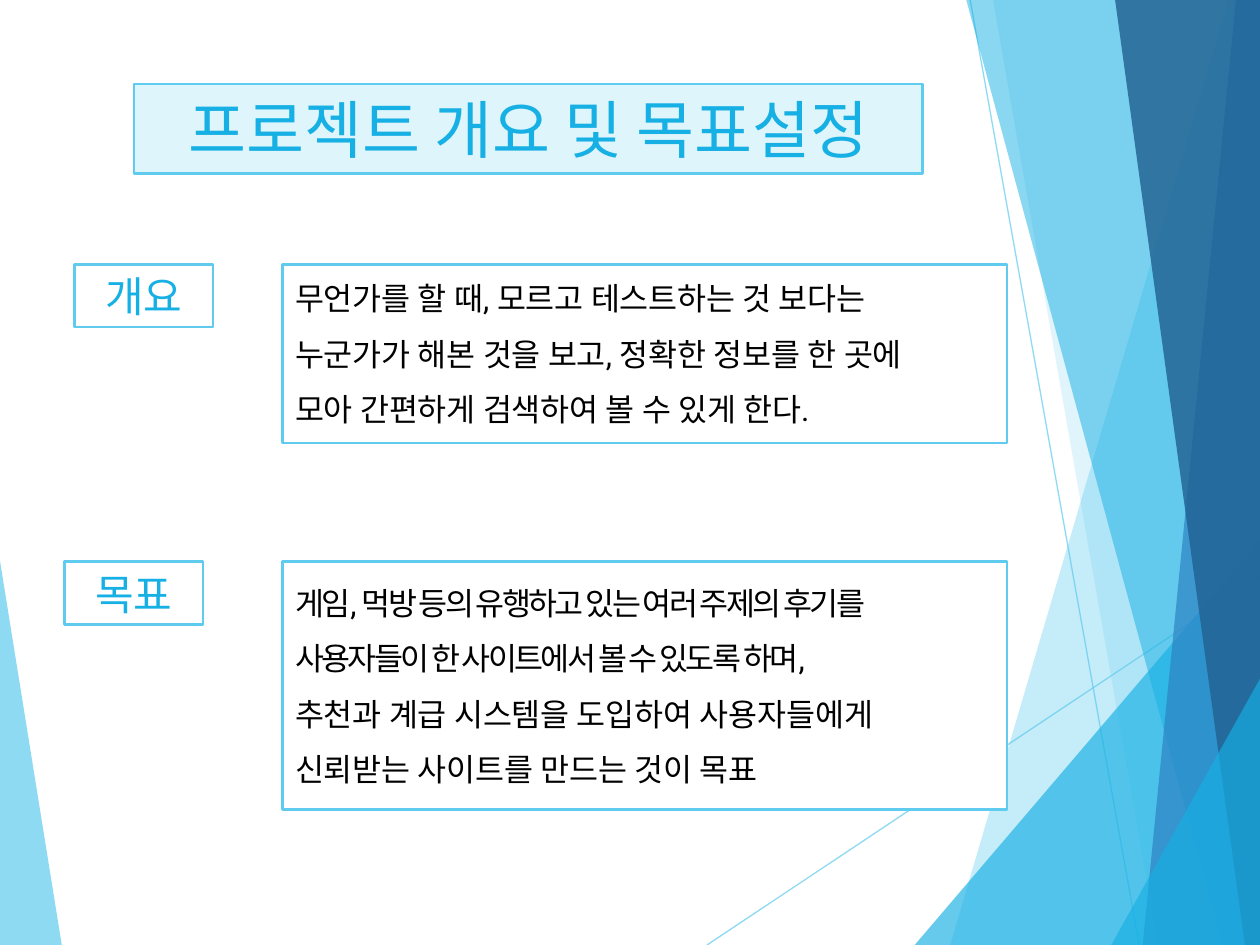
from dataclasses import dataclass

from lxml import etree
from pptx import Presentation
from pptx import util as u
from pptx.dml.color import RGBColor
from pptx.enum import shapes, text
from pptx.oxml import ns

Pt = u.Pt


@dataclass(frozen=True)
class Theme:
    sky: str = "5FCBEF"
    cyan: str = "17B0E4"
    blue: str = "2E83C3"
    navy: str = "226292"
    pale: str = "DFF5FC"
    white: str = "FFFFFF"
    black: str = "000000"
    heading_font: str = "Noto Sans CJK KR"
    body_font: str = "Roboto"
    title_size: float = 36
    label_size: float = 24
    body_size: float = 18
    border: float = 1.5
    hairline: float = 0.75


T = Theme()
W, H = 720, 540

LEFT_BLADE = ([(0, 320.6), (35.3, H), (0, H)], T.sky, 70)
RAYS = [(404, H, W, 329.5), (554.4, 0, 651, H)]
BLADES = [
    ([(702, 0), (543, H), (W, H), (W, 0)], T.sky, 36),
    ([(567.4, 0), (661.7, H), (W, H), (W, 0)], T.sky, 20),
    ([(522.7, H), (W, 308.9), (W, H)], T.cyan, 66),
    ([(552.2, 0), (698.4, H), (W, H), (W, 0)], T.cyan, 50),
    ([(706.3, 0), (653, H), (W, H), (W, 0)], T.blue, 70),
    ([(637.2, 0), (711.4, H), (W, H), (W, 0)], T.navy, 82),
    ([(635, H), (W, 387.8), (W, H)], T.cyan, 66),
]

OVERVIEW = [
    "무언가를 할 때, 모르고 테스트하는 것 보다는",
    "누군가가 해본 것을 보고, 정확한 정보를 한 곳에",
    "모아 간편하게 검색하여 볼 수 있게 한다.",
]
GOALS = [
    "게임, 먹방 등의 유행하고 있는 여러 주제의 후기를",
    "사용자들이 한 사이트에서 볼 수 있도록 하며,",
    "추천과 계급 시스템을 도입하여 사용자들에게",
    "신뢰받는 사이트를 만드는 것이 목표",
]


def set_color(fmt, color, opacity=100):
    fmt.solid()
    fmt.fore_color.rgb = RGBColor.from_string(color)
    if opacity < 100:
        clr = fmt._xPr.find(".//" + ns.qn("a:srgbClr"))
        etree.SubElement(clr, ns.qn("a:alpha"), val=str(opacity * 1000))


def add_blade(s, points, color, opacity):
    corners = [(Pt(x), Pt(y)) for x, y in points]
    builder = s.shapes.build_freeform(*corners[0])
    builder.add_line_segments(corners[1:], close=True)
    sp = builder.convert_to_shape()
    sp.shadow.inherit = False
    set_color(sp.fill, color, opacity)
    sp.line.fill.background()


def add_ray(s, x1, y1, x2, y2):
    ray = s.shapes.add_connector(
        shapes.MSO_CONNECTOR.STRAIGHT, Pt(x1), Pt(y1), Pt(x2), Pt(y2))
    set_color(ray.line.fill, T.sky, 70)
    ray.line.width = Pt(T.hairline)
    etree.SubElement(ray._element.spPr, ns.qn("a:effectLst"))


def format_run(r, font, size, color, spacing=0):
    r.font.name = font
    r.font.size = Pt(size)
    r.font.color.rgb = RGBColor.from_string(color)
    if spacing:
        r._r.get_or_add_rPr().set("spc", str(int(spacing * 100)))


def add_frame(s, x, y, w, h, fill=T.white):
    sp = s.shapes.add_shape(
        shapes.MSO_SHAPE.RECTANGLE, Pt(x), Pt(y), Pt(w), Pt(h))
    sp.shadow.inherit = False
    set_color(sp.fill, fill)
    set_color(sp.line.fill, T.sky)
    sp.line.width = Pt(T.border)
    tf = sp.text_frame
    tf.word_wrap = True
    tf.vertical_anchor = text.MSO_ANCHOR.MIDDLE
    tf.margin_top = tf.margin_bottom = 0
    return tf


def add_heading(s, x, y, w, h, words, size, fill=T.white):
    tf = add_frame(s, x, y, w, h, fill)
    tf.text = words
    p = tf.paragraphs[0]
    p.alignment = text.PP_ALIGN.CENTER
    format_run(p.runs[0], T.heading_font, size, T.cyan)


def add_body(s, x, y, w, h, lines, tight_lines=0):
    tf = add_frame(s, x, y, w, h)
    tf.text = "\n".join(lines)
    for i, p in enumerate(tf.paragraphs):
        p.alignment = text.PP_ALIGN.JUSTIFY
        if i:
            p.space_before = Pt(10)
        spacing = -1.5 if i < tight_lines else 0
        format_run(p.runs[0], T.body_font, T.body_size, T.black, spacing)


def main():
    prs = Presentation()
    prs.slide_width, prs.slide_height = Pt(W), Pt(H)
    s = prs.slides.add_slide(prs.slide_layouts[6])
    add_blade(s, *LEFT_BLADE)
    for ray in RAYS:
        add_ray(s, *ray)
    for blade in BLADES:
        add_blade(s, *blade)

    add_body(s, 161.5, 321, 414, 141.8, GOALS, tight_lines=2)
    add_heading(s, 76.6, 48, 450.7, 51.1, "프로젝트 개요 및 목표설정",
                T.title_size, T.pale)
    add_heading(s, 42.6, 151, 79.2, 36, "개요", T.label_size)
    add_heading(s, 36.9, 321, 79.2, 36, "목표", T.label_size)
    add_body(s, 161.5, 151, 414, 102.2, OVERVIEW)
    prs.save("out.pptx")


if __name__ == "__main__":
    main()
